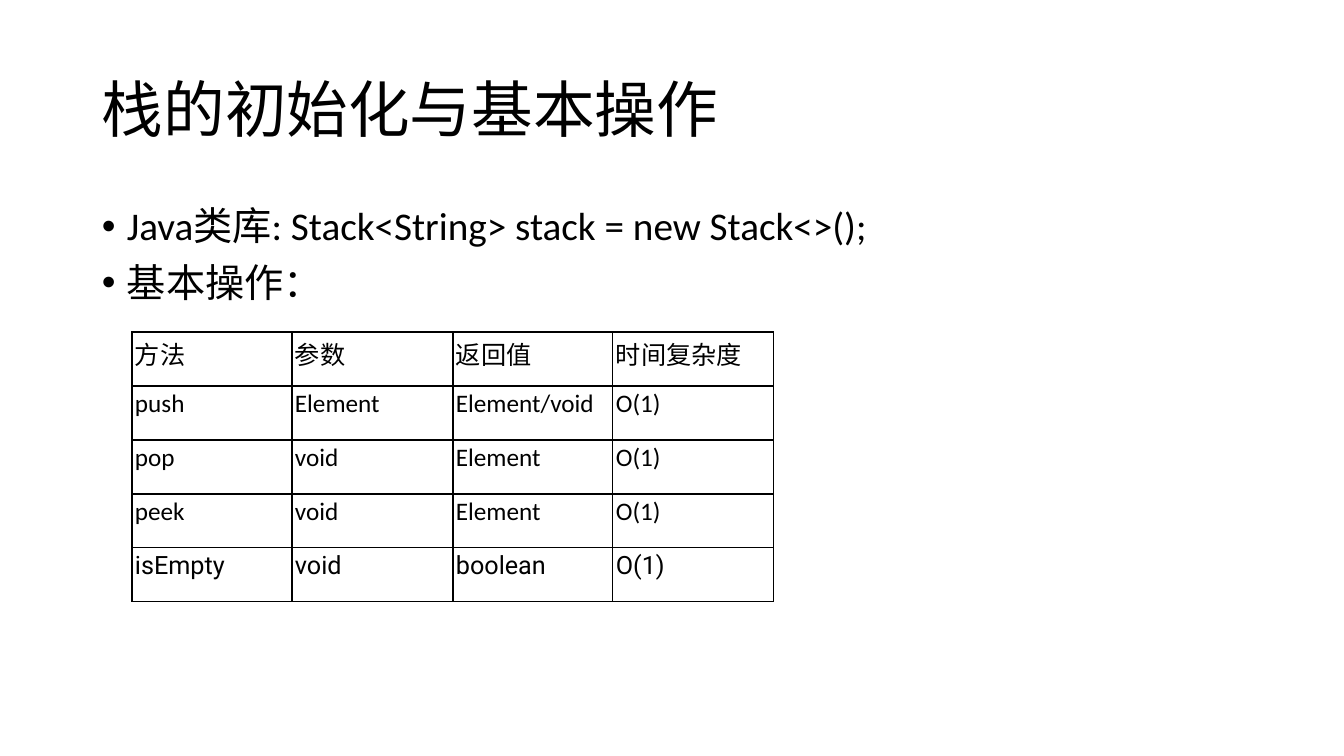
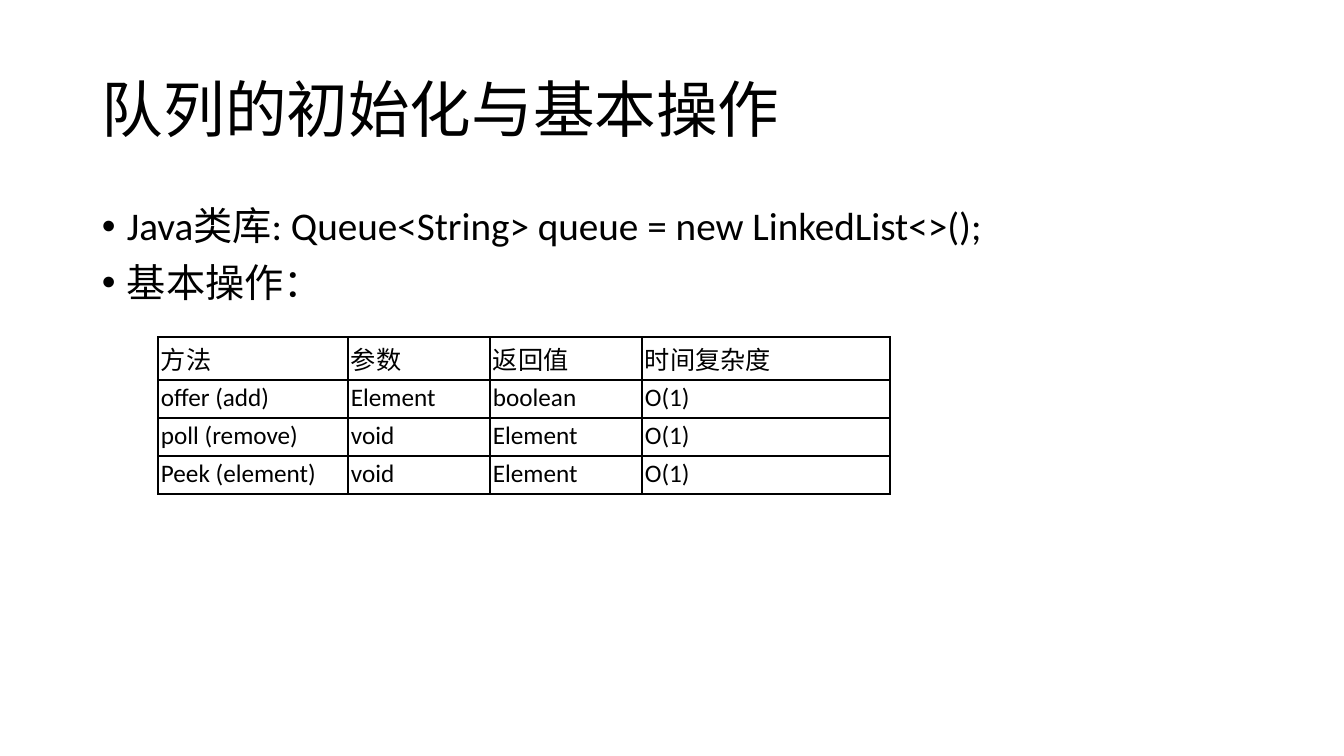
from dataclasses import dataclass

from lxml import etree
from pptx import Presentation
from pptx.dml.color import RGBColor
from pptx.enum.text import MSO_ANCHOR
from pptx.oxml.ns import qn
from pptx.util import Emu, Pt

MIDDLE, TOP = MSO_ANCHOR.MIDDLE, MSO_ANCHOR.TOP


@dataclass(frozen=True)
class Theme:
    ink: str = "000000"
    font: str = "Calibri"
    alt: str = "Roboto"
    title: int = 44
    body: int = 28
    cell: int = 18
    space: int = 10
    line: int = 1


THEME = Theme()

# Content
HEAD = ("方法", "参数", "返回值", "时间复杂度")
SLIDES = [
    {
        "title": "栈的初始化与基本操作",
        "points": ("Java类库: Stack<String> stack = new Stack<>();", "基本操作："),
        "at": (132, 332),
        "cols": (160, 161, 160, 161),
        "rows": (54,) * 5,
        "cells": (
            HEAD,
            ("push", "Element", "Element/void", "O(1)"),
            ("pop", "void", "Element", "O(1)"),
            ("peek", "void", "Element", "O(1)"),
            ("isEmpty", "void", "boolean", "O(1)"),
        ),
        "alt": {(0, 1), (0, 2), (4, 0), (4, 1), (4, 2), (4, 3)},
    },
    {
        "title": "队列的初始化与基本操作",
        "points": ("Java类库: Queue<String> queue = new LinkedList<>();", "基本操作："),
        "at": (158, 337),
        "cols": (190, 142, 152, 248),
        "rows": (43, 38, 38, 38),
        "cells": (
            HEAD,
            ("offer (add)", "Element", "boolean", "O(1)"),
            ("poll (remove)", "void", "Element", "O(1)"),
            ("Peek (element)", "void", "Element", "O(1)"),
        ),
        "alt": set(),
    },
]

# Layout in pixels
WIDE, HIGH = 1344, 756
TITLE = (92, 40, 1159, 146)
BODY = (92, 202, 1159, 480)
INDENT, INSET = 25, 3


def px(n):
    return Emu(round(n * 914400 / 100.8))


# Text
def add_run(para, text, size, font=THEME.font):
    run = para.add_run()
    run.text = text
    run.font.size = Pt(size)
    run.font.name = font
    run.font.color.rgb = RGBColor.from_string(THEME.ink)


def add_text(slide, box, lines, size, anchor=TOP, bullet=False):
    frame = slide.shapes.add_textbox(*map(px, box)).text_frame
    frame.word_wrap = True
    frame.vertical_anchor = anchor
    for i, line in enumerate(lines):
        para = frame.add_paragraph() if i else frame.paragraphs[0]
        para.line_spacing = 0.9
        if bullet:
            para.space_before = Pt(THEME.space)
            add_bullet(para)
        add_run(para, line, size)


def add_bullet(para):
    props = para._p.get_or_add_pPr()
    props.set("marL", str(px(INDENT)))
    props.set("indent", str(-px(INDENT)))
    etree.SubElement(props, qn("a:buFont"), typeface="Arial")
    etree.SubElement(props, qn("a:buChar"), char="•")


# Table
def add_border(cell):
    props = cell._tc.get_or_add_tcPr()
    for side in "LRTB":
        line = etree.SubElement(props, qn(f"a:ln{side}"), w=str(Pt(THEME.line)))
        fill = etree.SubElement(line, qn("a:solidFill"))
        etree.SubElement(fill, qn("a:srgbClr"), val=THEME.ink)


def add_grid(slide, page):
    cols, rows = page["cols"], page["rows"]
    box = (*page["at"], sum(cols), sum(rows))
    table = slide.shapes.add_table(len(rows), len(cols), *map(px, box)).table
    table.first_row = table.horz_banding = False
    for col, width in zip(table.columns, cols):
        col.width = px(width)
    for row, height in zip(table.rows, rows):
        row.height = px(height)
    for r, line in enumerate(page["cells"]):
        for c, text in enumerate(line):
            cell = table.cell(r, c)
            cell.margin_left = cell.margin_right = px(INSET)
            cell.margin_top = cell.margin_bottom = px(INSET)
            add_border(cell)
            cell.fill.background()
            font = THEME.alt if (r, c) in page["alt"] else THEME.font
            add_run(cell.text_frame.paragraphs[0], text, THEME.cell, font)


# Slides
deck = Presentation()
deck.slide_width, deck.slide_height = px(WIDE), px(HIGH)
for page in SLIDES:
    slide = deck.slides.add_slide(deck.slide_layouts[6])
    add_text(slide, TITLE, [page["title"]], THEME.title, anchor=MIDDLE)
    add_text(slide, BODY, page["points"], THEME.body, bullet=True)
    add_grid(slide, page)
deck.save("out.pptx")
